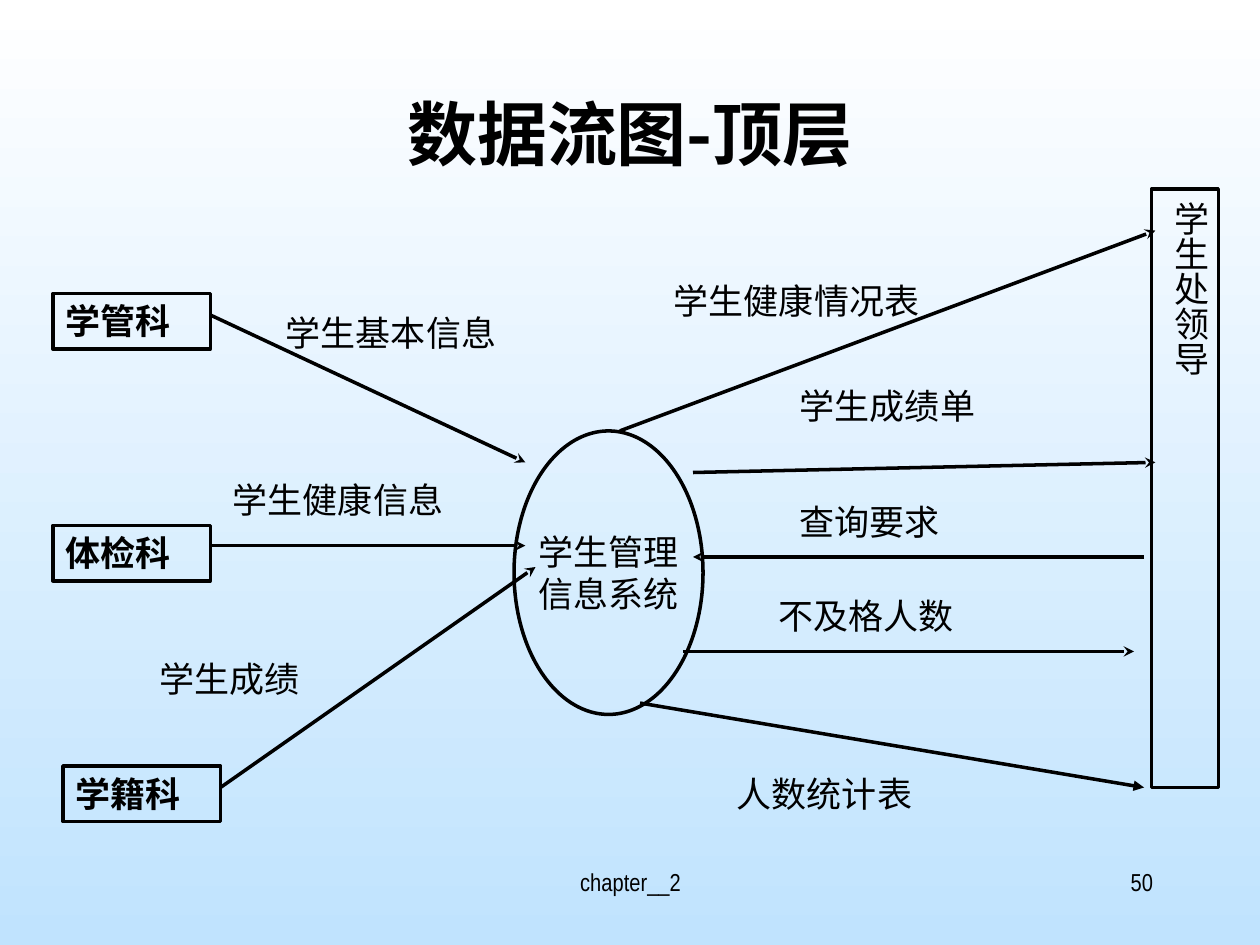
"""Build a top-level data flow diagram slide for a student system."""
from lxml import etree
from pptx import Presentation
from pptx.dml.color import RGBColor
from pptx.enum.shapes import MSO_CONNECTOR, MSO_SHAPE
from pptx.enum.text import MSO_ANCHOR, PP_ALIGN
from pptx.oxml.ns import qn
from pptx.util import Inches, Pt

RECT, OVAL = MSO_SHAPE.RECTANGLE, MSO_SHAPE.OVAL
LINE = MSO_CONNECTOR.STRAIGHT
TOP, MID = MSO_ANCHOR.TOP, MSO_ANCHOR.MIDDLE
LEFT, CENTER, RIGHT = PP_ALIGN.LEFT, PP_ALIGN.CENTER, PP_ALIGN.RIGHT
LATIN, HAN = "Arial Narrow", "Noto Sans CJK SC"
BLACK = "000000"


def tint(color, code):
    color.rgb = RGBColor.from_string(code)


def write(shape, text, size=20, bold=False, align=LEFT, font=LATIN, **form):
    frame = shape.text_frame
    base = {"word_wrap": True, "vertical_anchor": TOP,
            "margin_left": Inches(0.1), "margin_right": Inches(0.1),
            "margin_top": Inches(0.05), "margin_bottom": Inches(0.05)}
    for name, value in {**base, **form}.items():
        setattr(frame, name, value)
    frame.text = text
    look = {"name": font, "size": Pt(size), "bold": bold}
    for para in frame.paragraphs:
        para.alignment = align
        for run in para.runs:
            for name, value in look.items():
                setattr(run.font, name, value)
            tint(run.font.color, BLACK)
            etree.SubElement(run.font._element, qn("a:ea"), typeface=HAN)


deck = Presentation()
deck.slide_width, deck.slide_height = Inches(10), Inches(7.5)
slide = deck.slides.add_slide(deck.slide_layouts[6])
shapes = slide.shapes

back = slide.background.fill
back.gradient()
back.gradient_angle = 270
for stop, code in zip(back.gradient_stops, ("FFFFFF", "C0E3FE")):
    tint(stop.color, code)

heads = [
    ("chapter__2", (3.42, 6.83, 3.17, 0.5), {"size": 14, "align": CENTER}),
    ("50", (7.17, 6.83, 2.08, 0.5), {"size": 14, "align": RIGHT}),
    ("数据流图-顶层", (0.75, 0.67, 8.5, 1.25),
     {"size": 40, "bold": True, "align": CENTER, "font": HAN}),
]
for text, place, form in heads:
    write(shapes.add_textbox(*map(Inches, place)), text, **form)

tall = {"align": CENTER, "margin_left": Inches(0.05), "margin_right": Inches(0.05),
        "margin_top": Inches(0.1), "margin_bottom": Inches(0.1)}
nodes = [
    (RECT, "学管科", (0.42, 2.33, 1.25, 0.44), {"bold": True}),
    (RECT, "体检科", (0.42, 4.17, 1.25, 0.44), {"bold": True}),
    (RECT, "学籍科", (0.5, 6.08, 1.25, 0.44), {"bold": True}),
    (OVAL, "学生管理\n信息系统", (4.08, 3.42, 1.5, 2.25),
     {"align": CENTER, "vertical_anchor": MID, "word_wrap": False}),
    (RECT, "学生处领导", (9.14, 1.5, 0.53, 4.75), tall),
]
for kind, text, place, form in nodes:
    node = shapes.add_shape(kind, *map(Inches, place))
    node.shadow.inherit = False
    node.fill.background()
    tint(node.line.color, BLACK)
    node.line.width = Pt(2)
    write(node, text, **form)
    if form is tall:
        node.text_frame._txBody.bodyPr.set("vert", "eaVert")

flows = [
    (1.67, 2.5, 4.17, 3.67, "stealth"),
    (1.67, 4.33, 4.17, 4.33, "stealth"),
    (1.75, 6.25, 4.25, 4.5, "stealth"),
    (4.92, 3.42, 9.17, 1.83, "stealth"),
    (5.5, 3.75, 9.17, 3.67, "stealth"),
    (9.08, 4.42, 5.5, 4.42, "stealth"),
    (5.42, 5.17, 9, 5.17, "stealth"),
    (5.08, 5.58, 9.08, 6.25, "triangle"),
]
for *ends, tip in flows:
    flow = shapes.add_connector(LINE, *map(Inches, ends))
    tint(flow.line.color, BLACK)
    flow.line.width = Pt(2)
    etree.SubElement(flow.line._get_or_add_ln(), qn("a:tailEnd"), type=tip)
    etree.SubElement(flow._element.spPr, qn("a:effectLst"))

labels = [
    ("学生基本信息", 2.17, 2.42, 2.42),
    ("学生健康信息", 1.75, 3.75, 2.17),
    ("学生成绩", 1.17, 5.17, 1.33),
    ("学生健康情况表", 5.25, 2.17, 2.33),
    ("学生成绩单", 6.25, 3, 2.33),
    ("查询要求", 6.25, 3.92, 2.33),
    ("不及格人数", 6.08, 4.67, 2.33),
    ("人数统计表", 5.75, 6.08, 2.33),
]
for text, *place in labels:
    write(shapes.add_textbox(*map(Inches, place), Inches(0.44)), text)

deck.save("out.pptx")
